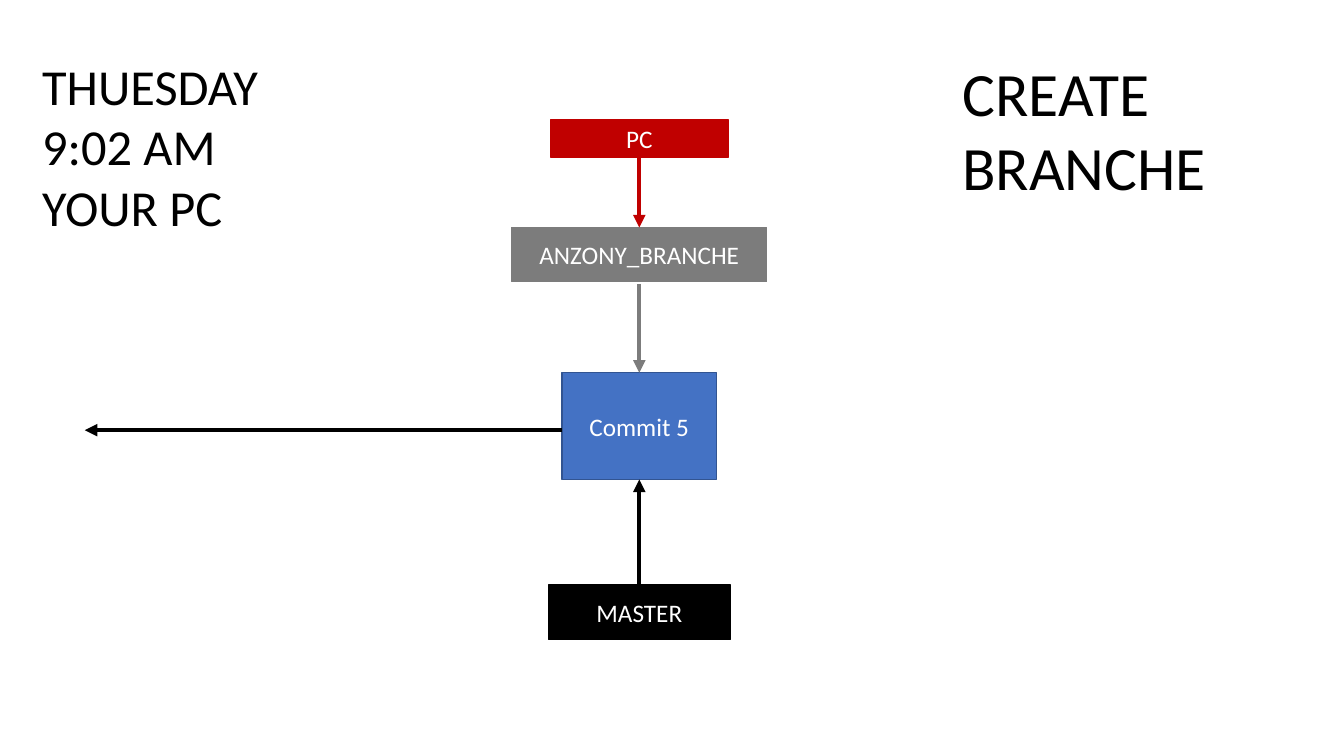
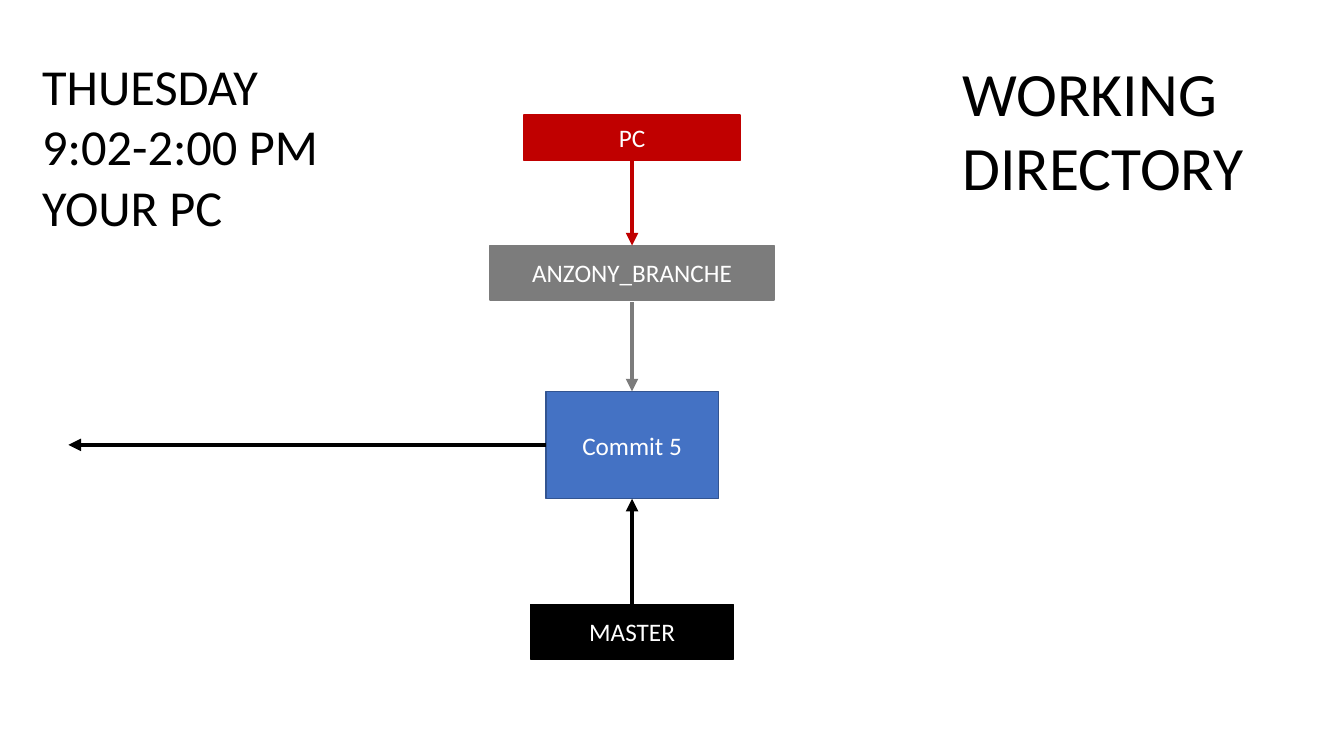
from pptx import Presentation
from pptx.dml.color import RGBColor
from pptx.enum.shapes import MSO_CONNECTOR, MSO_SHAPE
from pptx.enum.text import MSO_ANCHOR, MSO_AUTO_SIZE, PP_ALIGN
from pptx.oxml.ns import qn
from pptx.util import Inches, Pt
from lxml.etree import SubElement

BLACK = RGBColor(0x00, 0x00, 0x00)
WHITE = RGBColor(0xFF, 0xFF, 0xFF)
RED = RGBColor(0xC0, 0x00, 0x00)
GRAY = RGBColor(0x7C, 0x7C, 0x7C)
BLUE = RGBColor(0x44, 0x72, 0xC4)
DARK_BLUE = RGBColor(0x32, 0x54, 0x91)
FONT = "Calibri"

presentation = Presentation()
presentation.slide_width = Inches(40 / 3)
presentation.slide_height = Inches(7.5)
COLUMN = presentation.slide_width / 100
ROW = presentation.slide_height / 100

HEADINGS = {
    "moment": {"left": 2.4, "top": 6.6, "width": 23.25, "height": 25.6, "size": 36},
    "action": {"left": 70.88, "top": 6.6, "width": 26.7, "height": 21.07, "size": 44},
}
BOXES = {
    "PC": (RED, RED),
    "ANZONY_BRANCHE": (GRAY, GRAY),
    "Commit 5": (BLUE, DARK_BLUE),
    "MASTER": (BLACK, BLACK),
}
BRANCH_GAP = 0.27
HISTORY_LENGTH = 35.52

SLIDES = [
    {
        "moment": ["THUESDAY", "9:02 AM", "YOUR PC"],
        "action": ["CREATE BRANCHE"],
        "center": 47.57,
        "history_row": 56.9,
        "boxes": {
            "PC": (15.87, 13.23, 4.93),
            "ANZONY_BRANCHE": (30.08, 18.98, 7.2),
            "Commit 5": (49.3, 11.48, 14.13),
            "MASTER": (77.37, 13.55, 7.2),
        },
    },
    {
        "moment": ["THUESDAY", "9:02-2:00 PM", "YOUR PC"],
        "action": ["WORKING DIRECTORY"],
        "center": 47.03,
        "history_row": 58.85,
        "boxes": {
            "PC": (15.2, 16.05, 6),
            "ANZONY_BRANCHE": (32.48, 21.15, 7.2),
            "Commit 5": (51.77, 12.83, 14.2),
            "MASTER": (79.97, 15.08, 7.2),
        },
    },
]


def place(left, top, width, height):
    return [round(left * COLUMN), round(top * ROW), round(width * COLUMN), round(height * ROW)]


def write(shape, lines, size, color, frame_format, alignment):
    frame = shape.text_frame
    for name, value in frame_format.items():
        setattr(frame, name, value)
    frame.text = "\n".join(lines)
    for paragraph in frame.paragraphs:
        paragraph.alignment = alignment
        font = paragraph.runs[0].font
        for name, value in {"name": FONT, "size": Pt(size)}.items():
            setattr(font, name, value)
        font.color.rgb = color


for content in SLIDES:
    slide = presentation.slides.add_slide(presentation.slide_layouts[6])
    for heading, style in HEADINGS.items():
        shape = slide.shapes.add_textbox(
            *place(style["left"], style["top"], style["width"], style["height"])
        )
        heading_format = {"word_wrap": True, "auto_size": MSO_AUTO_SIZE.SHAPE_TO_FIT_TEXT}
        write(shape, content[heading], style["size"], BLACK, heading_format, PP_ALIGN.LEFT)

    center = content["center"]
    for label, (top, width, height) in content["boxes"].items():
        fill, outline = BOXES[label]
        shape = slide.shapes.add_shape(
            MSO_SHAPE.RECTANGLE, *place(center - width / 2, top, width, height)
        )
        shape.shadow.inherit = False
        shape.fill.solid()
        shape.fill.fore_color.rgb = fill
        shape.line.color.rgb = outline
        shape.line.width = Pt(1)
        box_format = {"word_wrap": True, "vertical_anchor": MSO_ANCHOR.MIDDLE}
        write(shape, [label], 18, WHITE, box_format, PP_ALIGN.CENTER)

    pc_top, _, pc_height = content["boxes"]["PC"]
    branch_top, _, branch_height = content["boxes"]["ANZONY_BRANCHE"]
    commit_top, commit_width, commit_height = content["boxes"]["Commit 5"]
    master_top = content["boxes"]["MASTER"][0]
    commit_left = center - commit_width / 2
    history_row = content["history_row"]
    branch_bottom = branch_top + branch_height + BRANCH_GAP
    arrows = [
        (RED, center, pc_top + pc_height, center, branch_top),
        (GRAY, center, branch_bottom, center, commit_top),
        (BLACK, center, master_top, center, commit_top + commit_height),
        (BLACK, commit_left, history_row, commit_left - HISTORY_LENGTH, history_row),
    ]
    for color, *ends in arrows:
        connector = slide.shapes.add_connector(MSO_CONNECTOR.STRAIGHT, *place(*ends))
        connector.line.color.rgb = color
        connector.line.width = Pt(3)
        SubElement(connector.line._get_or_add_ln(), qn("a:tailEnd"), type="triangle")
        SubElement(connector._element.spPr, qn("a:effectLst"))

presentation.save("out.pptx")
